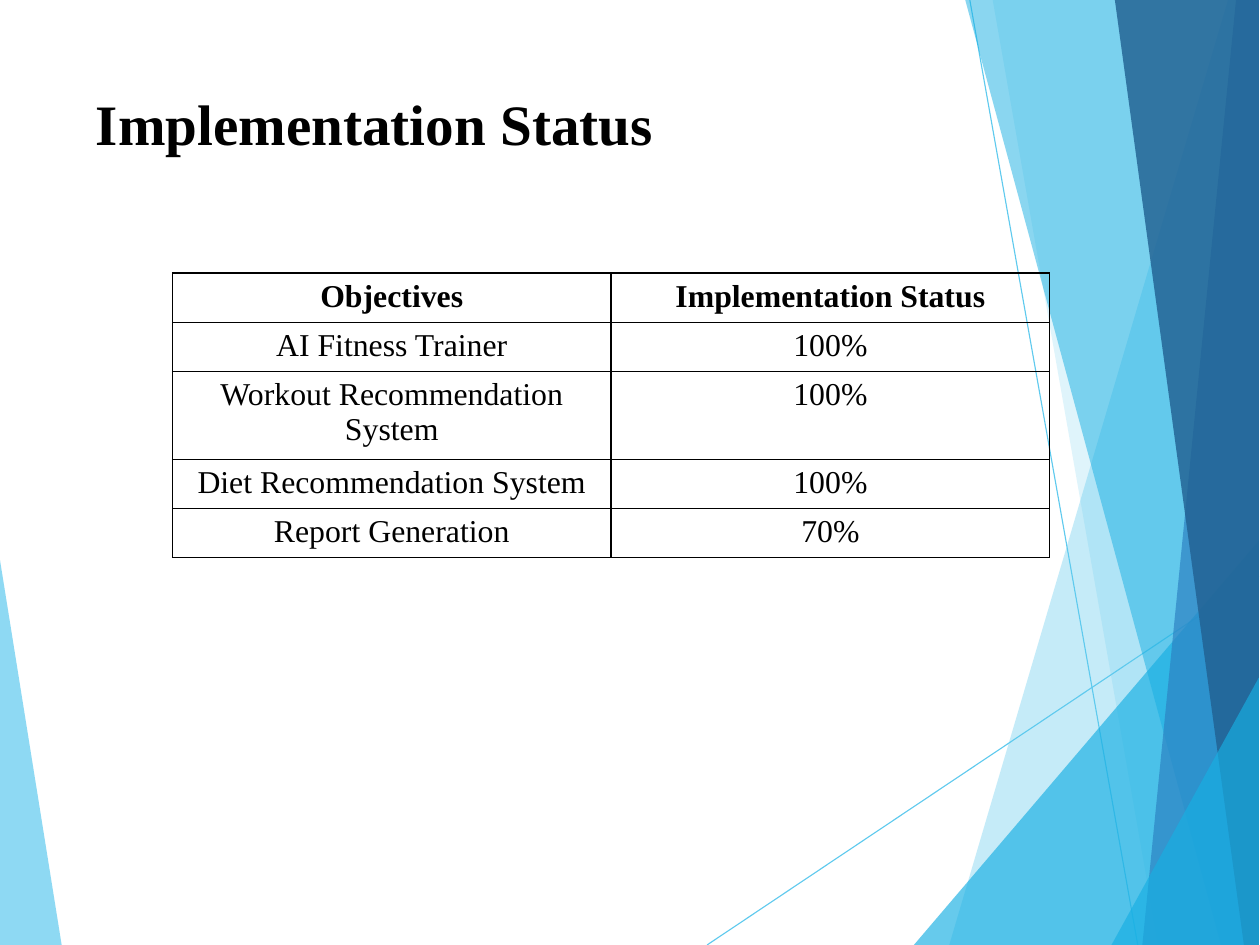
"""Build the implementation status slide with its faceted background."""
from pptx import Presentation
from pptx.dml.color import RGBColor
from pptx.enum.shapes import MSO_CONNECTOR
from pptx.enum.text import MSO_ANCHOR, PP_ALIGN
from pptx.oxml import parse_xml
from pptx.oxml.ns import nsdecls, qn
from pptx.util import Inches, Pt

WIDTH, HEIGHT, EDGE = 11.03, 8.27, 11.02
TITLE = "Implementation Status"
STATUS = [
    ("Objectives", "Implementation Status"),
    ("AI Fitness Trainer", "100%"),
    ("Workout Recommendation System", "100%"),
    ("Diet Recommendation System", "100%"),
    ("Report Generation", "70%"),
]
ROW_HEIGHTS = [0.43, 0.43, 0.77, 0.43, 0.43]
COLUMN_WIDTH = 3.84

THEME = {
    "font": "Times New Roman",
    "title_size": 36, "table_size": 20,
    "ink": "000000", "sky": "5FCAEE", "cyan": "17AFE3",
    "blue": "2D83C3", "navy": "226192",
    "border": 1, "ray": 0.72,
}

LEFT_FACET = ("sky", 70, [(0, 4.9), (0, HEIGHT), (0.54, HEIGHT)])
RAYS = [((6.19, HEIGHT), (EDGE, 5.04)), ((8.49, 0), (9.96, HEIGHT))]
# colour, opacity, top left x, top y, bottom left x
RIGHT_FACETS = [
    ("sky", 36, 10.75, 0, 8.31),
    ("sky", 20, 8.69, 0, 10.14),
    ("cyan", 66, EDGE, 4.73, 8),
    ("cyan", 50, 8.45, 0, 10.69),
    ("blue", 70, 10.82, 0, 10),
    ("navy", 82, 9.76, 0, 10.89),
    ("cyan", 66, EDGE, 5.93, 9.73),
]


def colour(name):
    return RGBColor.from_string(THEME[name])


def apply(target, values):
    for attribute, value in values.items():
        setattr(target, attribute, value)


def style_text(paragraph, size, bold, align):
    paragraph.alignment = align
    apply(paragraph.font, {"name": THEME["font"], "size": Pt(THEME[size]), "bold": bold})
    paragraph.font.color.rgb = colour("ink")


def add_facet(shapes, fill, opacity, corners):
    points = [(Inches(x), Inches(y)) for x, y in corners]
    outline = shapes.build_freeform(*points[0])
    outline.add_line_segments(points[1:], close=True)
    facet = outline.convert_to_shape()
    facet.shadow.inherit = False
    facet.fill.solid()
    facet.fill.fore_color.rgb = colour(fill)
    facet.line.fill.background()
    tint = facet.element.spPr.find(f"{qn('a:solidFill')}/{qn('a:srgbClr')}")
    tint.append(parse_xml(f'<a:alpha {nsdecls("a")} val="{opacity * 1000}"/>'))


def add_ray(shapes, start, end):
    ends = [Inches(value) for value in (*start, *end)]
    ray = shapes.add_connector(MSO_CONNECTOR.STRAIGHT, *ends)
    ray.line.color.rgb = colour("sky")
    ray.line.width = Pt(THEME["ray"])
    ray.element.spPr.append(parse_xml(f'<a:effectLst {nsdecls("a")}/>'))


def add_borders(cell):
    properties = cell._tc.get_or_add_tcPr()
    for side in ("lnL", "lnR", "lnT", "lnB"):
        properties.append(parse_xml(
            f'<a:{side} {nsdecls("a")} w="{Pt(THEME["border"])}"><a:solidFill>'
            f'<a:srgbClr val="{THEME["ink"]}"/></a:solidFill></a:{side}>'))


def add_title(slide):
    title = slide.shapes.title
    apply(title, {"left": Inches(0.54), "top": Inches(0.69),
                  "width": Inches(8.36), "height": Inches(0.7)})
    frame = title.text_frame
    apply(frame, {"text": TITLE, "margin_left": Inches(0.3), "margin_top": Inches(0.08),
                  "margin_right": 0, "margin_bottom": 0,
                  "vertical_anchor": MSO_ANCHOR.TOP, "word_wrap": True})
    style_text(frame.paragraphs[0], "title_size", True, PP_ALIGN.LEFT)


def add_status_table(shapes):
    columns = len(STATUS[0])
    table = shapes.add_table(
        len(STATUS), columns, Inches(1.51), Inches(2.39),
        Inches(COLUMN_WIDTH * columns), Inches(sum(ROW_HEIGHTS))).table
    apply(table, {"first_row": False, "horz_banding": False})
    for column in table.columns:
        column.width = Inches(COLUMN_WIDTH)
    for index, (row, height, entries) in enumerate(zip(table.rows, ROW_HEIGHTS, STATUS)):
        row.height = Inches(height)
        for cell, entry in zip(row.cells, entries):
            cell.text = entry
            style_text(cell.text_frame.paragraphs[0], "table_size", index == 0, PP_ALIGN.CENTER)
            add_borders(cell)
            cell.fill.background()


def main():
    deck = Presentation()
    apply(deck, {"slide_width": Inches(WIDTH), "slide_height": Inches(HEIGHT)})
    slide = deck.slides.add_slide(deck.slide_layouts[5])
    add_facet(slide.shapes, *LEFT_FACET)
    for start, end in RAYS:
        add_ray(slide.shapes, start, end)
    for fill, opacity, top_x, top_y, bottom_x in RIGHT_FACETS:
        corners = [(top_x, top_y), (bottom_x, HEIGHT), (EDGE, HEIGHT)]
        if top_x < EDGE:
            corners.append((EDGE, top_y))
        add_facet(slide.shapes, fill, opacity, corners)
    add_title(slide)
    add_status_table(slide.shapes)
    deck.save("out.pptx")


if __name__ == "__main__":
    main()
